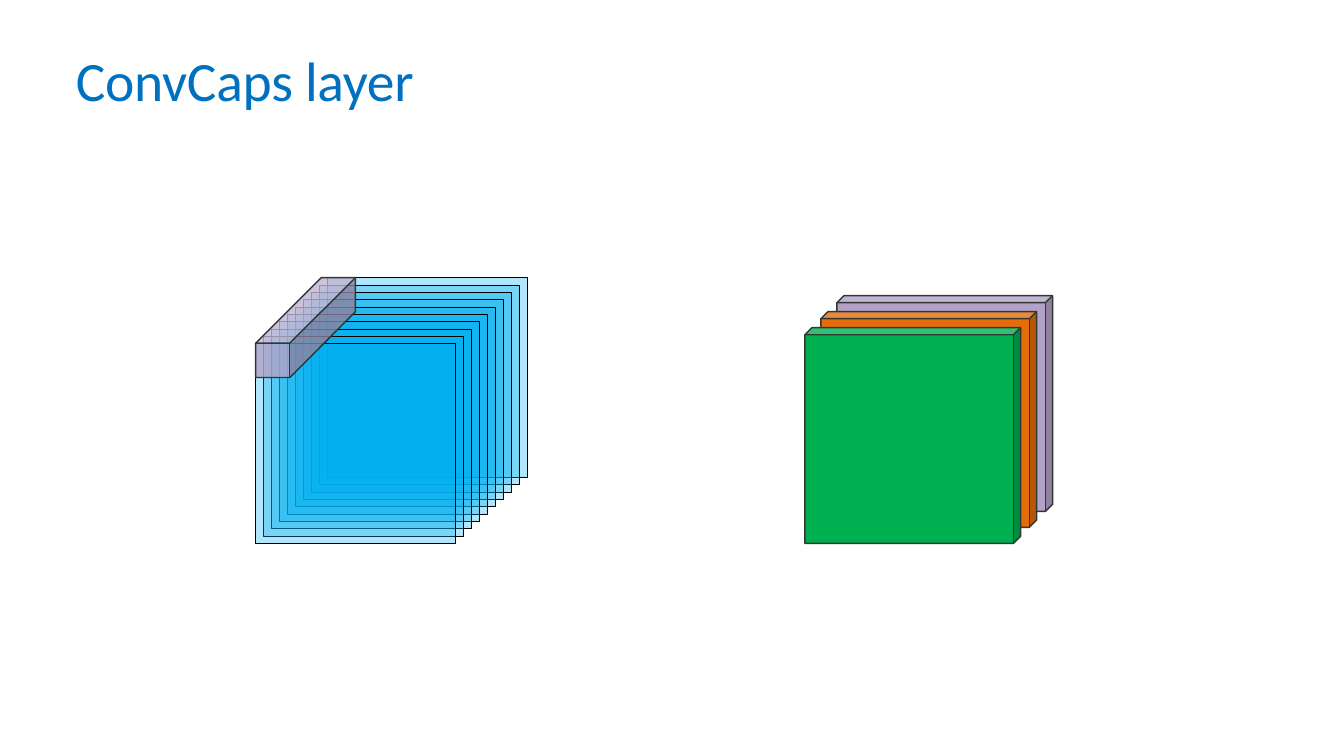
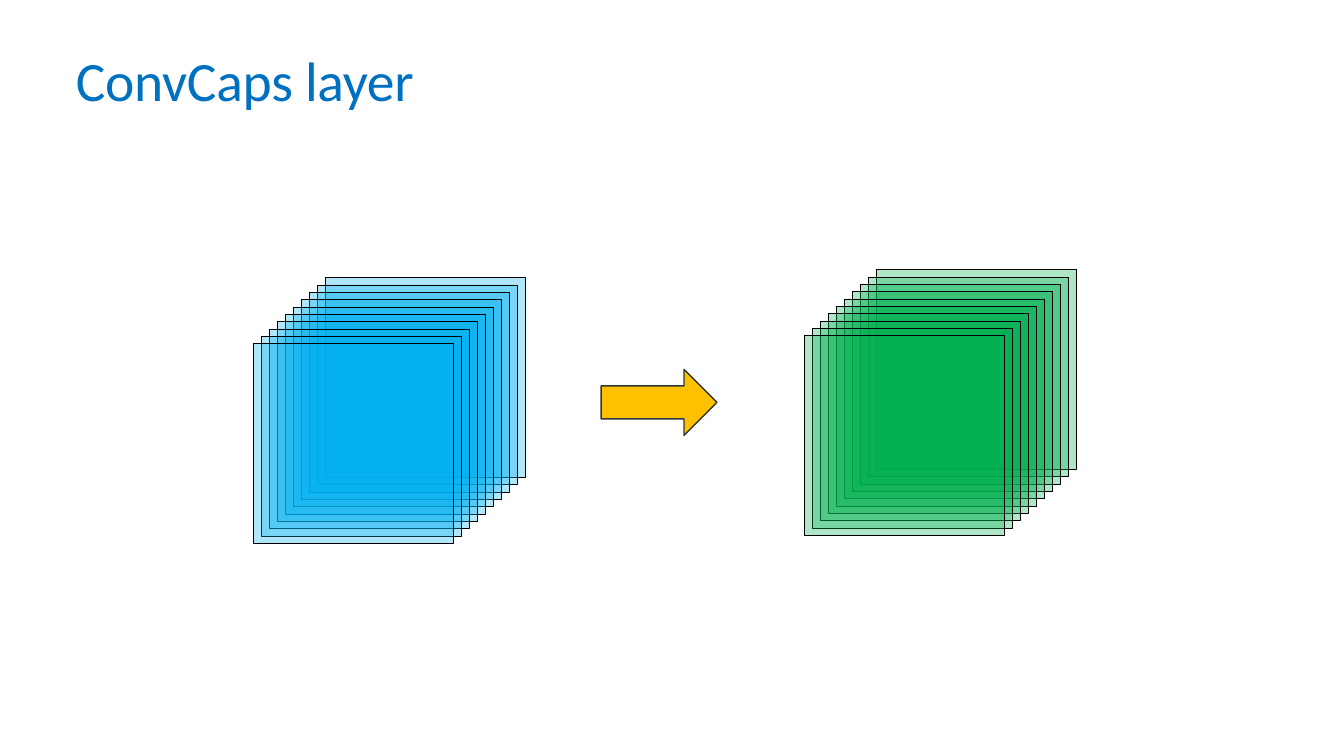
from dataclasses import dataclass

from lxml.etree import SubElement
from pptx import Presentation
from pptx.dml.color import RGBColor
from pptx.enum.shapes import MSO_SHAPE as Preset
from pptx.enum.text import MSO_ANCHOR, MSO_AUTO_SIZE, PP_ALIGN
from pptx.oxml.ns import qn
from pptx.presentation import Presentation as Deck
from pptx.shapes.autoshape import Shape
from pptx.slide import Slide
from pptx.util import Inches, Pt


@dataclass(frozen=True)
class Theme:
    font: str = "Calibri"
    title_size: float = 20
    title_spacing: float = -0.1
    title: str = "0070C0"
    blue: str = "00B0F0"
    green: str = "00B050"
    orange: str = "E46C0A"
    purple: str = "B3A2C7"
    yellow: str = "FFC000"
    outline: str = "2F3832"
    outline_width: float = 0.5
    map_outline: str = "000000"
    map_outline_width: float = 0.25
    map_opacity: int = 31
    kernel_opacity: int = 80


THEME = Theme()


@dataclass(frozen=True)
class Block:
    """A single outlined preset shape."""
    preset: Preset
    left: float
    top: float
    width: float
    height: float
    fill: str
    adjustment: float | None = None
    opacity: int = 100


@dataclass(frozen=True)
class MapStack:
    """Translucent square feature maps; left and top belong to the front one."""
    left: float
    top: float
    fill: str
    count: int = 10
    side: float = 1
    spread_x: float = 0.36
    spread_y: float = 0.33


def style_shape(shape: Shape, fill: str, opacity: int, line: str, width: float) -> None:
    shape.shadow.inherit = False
    shape.fill.solid()
    shape.fill.fore_color.rgb = RGBColor.from_string(fill)
    shape.line.color.rgb = RGBColor.from_string(line)
    shape.line.width = Pt(width)
    if opacity < 100:
        color = shape.element.xpath("./p:spPr/a:solidFill/a:srgbClr")[0]
        SubElement(color, qn("a:alpha")).set("val", str(opacity * 1000))


def add_block(slide: Slide, block: Block) -> None:
    shape = slide.shapes.add_shape(
        block.preset, Inches(block.left), Inches(block.top),
        Inches(block.width), Inches(block.height))
    if block.adjustment is not None:
        shape.adjustments[0] = block.adjustment
    style_shape(shape, block.fill, block.opacity, THEME.outline, THEME.outline_width)


def add_map_stack(slide: Slide, stack: MapStack) -> None:
    group = slide.shapes.add_group_shape()
    for index in range(stack.count):
        depth = 1 - index / (stack.count - 1)  # 1 at the back, 0 in front
        shape = group.shapes.add_shape(
            Preset.RECTANGLE,
            Inches(stack.left + depth * stack.spread_x),
            Inches(stack.top - depth * stack.spread_y),
            Inches(stack.side), Inches(stack.side))
        style_shape(shape, stack.fill, THEME.map_opacity,
                    THEME.map_outline, THEME.map_outline_width)


def add_titled_slide(presentation: Deck, title: str) -> Slide:
    slide = presentation.slides.add_slide(presentation.slide_layouts[5])
    shape = slide.shapes.title
    shape.left, shape.top = Inches(0.36), Inches(0.21)
    shape.width, shape.height = Inches(3.83), Inches(0.36)
    frame = shape.text_frame
    frame.text = title
    frame.word_wrap = True
    frame.auto_size = MSO_AUTO_SIZE.SHAPE_TO_FIT_TEXT
    frame.vertical_anchor = MSO_ANCHOR.TOP
    frame.margin_left = frame.margin_top = Inches(0.02)
    frame.margin_right = frame.margin_bottom = 0
    paragraph = frame.paragraphs[0]
    paragraph.alignment = PP_ALIGN.LEFT
    run = paragraph.runs[0]
    run.font.name = THEME.font
    run.font.size = Pt(THEME.title_size)
    run.font.color.rgb = RGBColor.from_string(THEME.title)
    run.font._element.set("spc", str(round(THEME.title_spacing * 100)))
    return slide


def build_kernel_slide(presentation: Deck) -> None:
    slide = add_titled_slide(presentation, "ConvCaps layer")
    # Output capsules, from back to front
    for index, fill in enumerate((THEME.purple, THEME.orange, THEME.green)):
        offset = 0.08 * (2 - index)
        add_block(slide, Block(Preset.CUBE, 4.03 + offset, 1.64 - offset,
                               1.08, 1.08, fill, adjustment=0.033))
    # Input maps with the kernel over their corner
    add_map_stack(slide, MapStack(1.28, 1.72, THEME.blue))
    add_block(slide, Block(Preset.CUBE, 1.28, 1.39, 0.5, 0.5, THEME.purple,
                           adjustment=0.657, opacity=THEME.kernel_opacity))


def build_mapping_slide(presentation: Deck) -> None:
    slide = add_titled_slide(presentation, "ConvCaps layer")
    add_block(slide, Block(Preset.RIGHT_ARROW, 3.01, 1.85, 0.58, 0.33, THEME.yellow))
    # Input and output maps
    add_map_stack(slide, MapStack(1.27, 1.72, THEME.blue))
    add_map_stack(slide, MapStack(4.03, 1.68, THEME.green))


def main() -> None:
    presentation = Presentation()
    # A 16:9 page measured in half points
    presentation.slide_width = Pt(484.5)
    presentation.slide_height = Pt(272.5)
    build_kernel_slide(presentation)
    build_mapping_slide(presentation)
    presentation.save("out.pptx")


if __name__ == "__main__":
    main()
